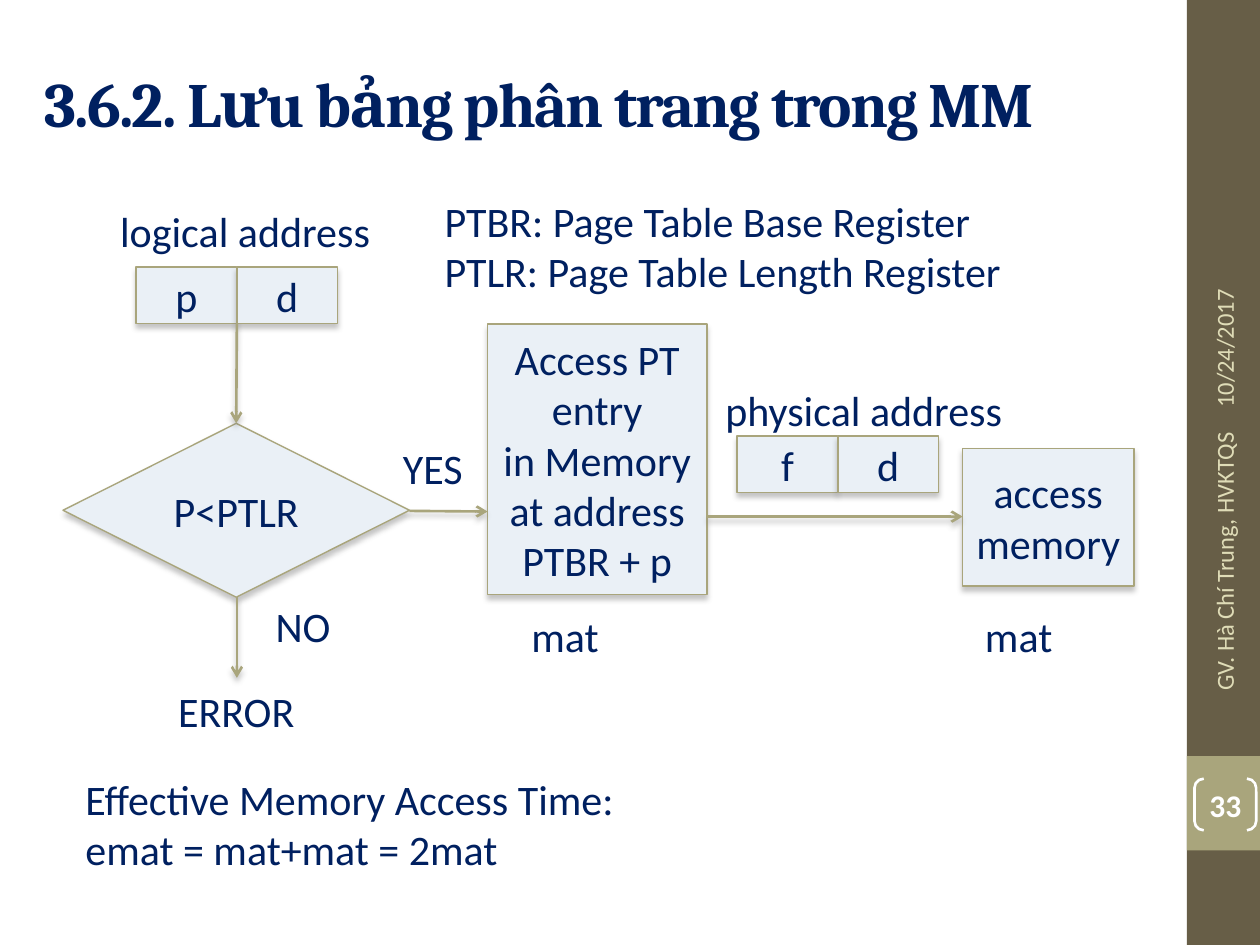
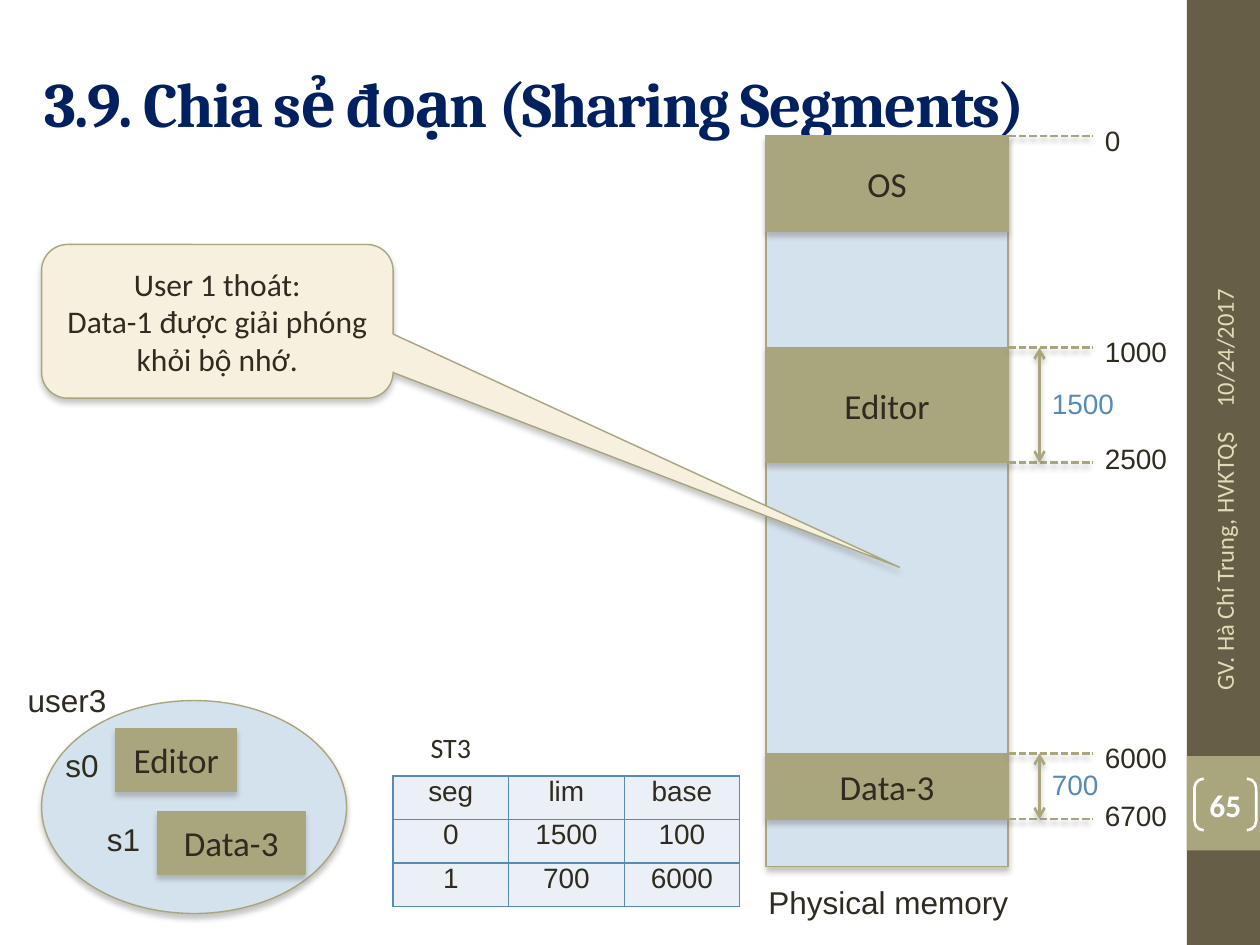
from dataclasses import dataclass
from typing import NamedTuple

from pptx import Presentation
from pptx.dml.color import RGBColor
from pptx.enum.dml import MSO_LINE
from pptx.enum.shapes import MSO_CONNECTOR, MSO_SHAPE
from pptx.enum.text import MSO_ANCHOR, PP_ALIGN
from pptx.oxml import parse_xml
from pptx.oxml.ns import nsdecls
from pptx.util import Emu, Inches, Pt

SLIDE_WIDTH, SLIDE_HEIGHT = Inches(10), Inches(7.5)
COLUMNS, ROWS = 100, 75  # square grid cells


class TextStyle(NamedTuple):
    font: str
    size: float
    color: str
    bold: bool = False


@dataclass(frozen=True)
class Theme:
    white: str = "FFFFFF"
    band: str = "675E47"
    accent: str = "A9A57C"
    pale: str = "EAF0F6"
    sky: str = "D4E2ED"
    cream: str = "F7F0DE"
    blue: str = "558BB8"
    outline: float = 0.79
    stroke: float = 1.5
    title: TextStyle = TextStyle("Cambria", 36, "002060", True)
    footer: TextStyle = TextStyle("Calibri", 14, "DFDCB7")
    number: TextStyle = TextStyle("Calibri", 18, "FFFFFF", True)
    flow: TextStyle = TextStyle("Calibri", 24, "002060")
    block: TextStyle = TextStyle("Calibri", 20, "2F2B20")
    callout: TextStyle = TextStyle("Calibri", 18, "2F2B20")
    label: TextStyle = TextStyle("Arial", 18, "2F2B20")
    address: TextStyle = TextStyle("Arial", 16, "2F2B20")
    limit: TextStyle = TextStyle("Arial", 16, "558BB8")
    caption: TextStyle = TextStyle("Calibri", 16, "2F2B20")


THEME = Theme()


class Area(NamedTuple):
    """A place on the grid, in columns and rows."""
    col: float
    row: float
    cols: float
    rows: float


class Block(NamedTuple):
    kind: MSO_SHAPE
    area: Area
    text: str


class Label(NamedTuple):
    area: Area
    text: str
    align: PP_ALIGN = PP_ALIGN.CENTER


class Segment(NamedTuple):
    name: str
    row: float
    rows: float
    start: str
    end: str = ""
    limit: str = ""


def x(col: float) -> Emu:
    return Emu(round(SLIDE_WIDTH * col / COLUMNS))


def y(row: float) -> Emu:
    return Emu(round(SLIDE_HEIGHT * row / ROWS))


def place(area: Area) -> tuple:
    return x(area.col), y(area.row), x(area.cols), y(area.rows)


def rgb(color: str) -> RGBColor:
    return RGBColor.from_string(color)


def write(frame, text: str, style: TextStyle, align=PP_ALIGN.CENTER) -> None:
    frame.text = text
    for paragraph in frame.paragraphs:
        paragraph.alignment = align
        font = paragraph.font
        font.name, font.size, font.bold = style.font, Pt(style.size), style.bold
        font.color.rgb = rgb(style.color)


def add_shadow(part) -> None:
    part._element.spPr.append(parse_xml(
        f'<a:effectLst {nsdecls("a")}><a:outerShdw blurRad="{Pt(3)}" dist="{Pt(2.4)}" '
        'dir="5400000" rotWithShape="0"><a:srgbClr val="808080"><a:alpha val="45000"/>'
        '</a:srgbClr></a:outerShdw></a:effectLst>'))


def add_label(slide, label: Label, style: TextStyle):
    box = slide.shapes.add_textbox(*place(label.area))
    box.text_frame.word_wrap = True
    write(box.text_frame, label.text, style, label.align)
    return box


def add_block(slide, block: Block, fill: str, style: TextStyle):
    shape = slide.shapes.add_shape(block.kind, *place(block.area))
    shape.fill.solid()
    shape.fill.fore_color.rgb = rgb(fill)
    shape.line.color.rgb = rgb(THEME.accent)
    shape.line.width = Pt(THEME.outline)
    add_shadow(shape)
    if block.text:
        shape.text_frame.vertical_anchor = MSO_ANCHOR.MIDDLE
        write(shape.text_frame, block.text, style)
    return shape


def add_line(slide, start: tuple, end: tuple, arrows=(), dashed: bool = False) -> None:
    connector = slide.shapes.add_connector(
        MSO_CONNECTOR.STRAIGHT, x(start[0]), y(start[1]), x(end[0]), y(end[1]))
    connector.line.color.rgb = rgb(THEME.accent)
    connector.line.width = Pt(THEME.stroke)
    if dashed:
        connector.line.dash_style = MSO_LINE.SQUARE_DOT
    for arrow in arrows:
        connector.line._get_or_add_ln().append(
            parse_xml(f'<a:{arrow} {nsdecls("a")} type="arrow"/>'))
    add_shadow(connector)


def start_slide(deck, heading: str, number: str):
    """Title, side band, rotated footers and page number."""
    slide = deck.slides.add_slide(deck.slide_layouts[5])
    title = slide.shapes.title
    title.left, title.top, title.width, title.height = place(Area(2.5, 3, 89.2, 10.3))
    title.text_frame.vertical_anchor = MSO_ANCHOR.MIDDLE
    write(title.text_frame, heading, THEME.title, PP_ALIGN.LEFT)
    title.text_frame.paragraphs[0].runs[0]._r.get_or_add_rPr().set("spc", "-100")

    for top, height, color in ((0, ROWS, THEME.band), (60, 7.5, THEME.accent)):
        band = slide.shapes.add_shape(MSO_SHAPE.RECTANGLE, *place(Area(94.2, top, 5.8, height)))
        band.shadow.inherit = False
        band.fill.solid()
        band.fill.fore_color.rgb = rgb(color)
        band.line.fill.background()

    for footer in (
        Label(Area(83.8, 18, 26.7, 4), "10/24/2017", PP_ALIGN.LEFT),
        Label(Area(84.2, 44.3, 25.9, 4), "GV. Hà Chí Trung, HVKTQS", PP_ALIGN.RIGHT),
    ):
        box = add_label(slide, footer, THEME.footer)
        box.text_frame.vertical_anchor = MSO_ANCHOR.MIDDLE
        box.rotation = 270

    bracket = slide.shapes.add_shape(MSO_SHAPE.DOUBLE_BRACKET, *place(Area(94.8, 61.8, 4.9, 4.1)))
    bracket.adjustments[0] = 0.18
    bracket.shadow.inherit = False
    bracket.fill.background()
    bracket.line.color.rgb = rgb(THEME.white)
    bracket.line.width = Pt(THEME.stroke)
    frame = bracket.text_frame
    frame.margin_left = frame.margin_right = frame.margin_top = frame.margin_bottom = 0
    frame.vertical_anchor = MSO_ANCHOR.MIDDLE
    write(frame, number, THEME.number)
    return slide


def build_paging_slide(deck) -> None:
    slide = start_slide(deck, "3.6.2. Lưu bảng phân trang trong MM", "33")

    # Steps of the address translation
    steps = [
        Block(MSO_SHAPE.FLOWCHART_DECISION, Area(5, 33.6, 27.5, 13.8), "P<PTLR"),
        Block(MSO_SHAPE.FLOWCHART_PROCESS, Area(38.7, 25.7, 17.4, 21.5),
              "Access PT entry\nin Memory at address\nPTBR + p"),
        Block(MSO_SHAPE.FLOWCHART_PROCESS, Area(76.4, 35.6, 13.6, 10.9), "access memory"),
    ]
    # Two-part addresses: page or frame number, then offset
    for left, top, parts in ((10.8, 21.2, "pd"), (58.5, 34.6, "fd")):
        steps += [Block(MSO_SHAPE.RECTANGLE, Area(left + 8 * i, top, 8, 4.5), part)
                  for i, part in enumerate(parts)]
    for step in steps:
        add_block(slide, step, THEME.pale, THEME.flow)

    # Flow between the steps
    for start, end in (
        ((18.8, 25.7), (18.75, 33.6)),
        ((32.5, 40.55), (38.7, 40.6)),
        ((18.8, 47.4), (18.8, 53.8)),
        ((56.1, 41), (76.4, 41)),
    ):
        add_line(slide, start, end, arrows=("tailEnd",))

    # Captions and notes
    for label in (
        Label(Area(6.9, 15.8, 25.1, 5), "logical address"),
        Label(Area(56, 30, 25.1, 5), "physical address"),
        Label(Area(38.7, 48, 12.3, 5), "mat"),
        Label(Area(74.7, 48, 12.3, 5), "mat"),
        Label(Area(17.9, 47.2, 12.3, 5), "NO"),
        Label(Area(28.2, 34.6, 12.3, 5), "YES"),
        Label(Area(12.6, 53.9, 12.3, 5), "ERROR"),
        Label(Area(34.3, 15, 51.2, 9.1),
              "PTBR: Page Table Base Register\nPTLR: Page Table Length Register", PP_ALIGN.LEFT),
        Label(Area(5.8, 60.9, 71.4, 9.1),
              "Effective Memory Access Time:\nemat = mat+mat = 2mat", PP_ALIGN.LEFT),
    ):
        add_label(slide, label, THEME.flow)


def add_segment_table(slide) -> None:
    entries = [("", "", ""), ("", "", ""), ("ST3", "", ""),
               ("seg", "lim", "base"), ("0", "1500", "100"), ("1", "700", "6000")]
    heights = (20, 20.1, 3.7, 3.45, 3.45, 3.45)
    caption_row = 2
    table = slide.shapes.add_table(
        len(entries), 3, *place(Area(31.2, 17.5, 27.5, sum(heights)))).table
    table.first_row = table.horz_banding = False
    for column, width in zip(table.columns, (9.15, 9.2, 9.15)):
        column.width = x(width)
    for i, (values, height) in enumerate(zip(entries, heights)):
        table.rows[i].height = y(height)
        is_data = i > caption_row
        sides = "LRTB" if is_data else "B" if i == caption_row else ""
        for j, value in enumerate(values):
            cell = table.cell(i, j)
            for side in sides:
                cell._tc.get_or_add_tcPr().append(parse_xml(
                    f'<a:ln{side} {nsdecls("a")} w="{Pt(1)}"><a:solidFill>'
                    f'<a:srgbClr val="{THEME.blue}"/></a:solidFill></a:ln{side}>'))
            cell.fill.solid()
            cell.fill.fore_color.rgb = rgb(THEME.pale if is_data else THEME.white)
            if is_data:
                cell.margin_left = cell.margin_right = x(0.7)
                cell.margin_top = cell.margin_bottom = 0
            if value:
                write(cell.text_frame, value, THEME.address if is_data else THEME.caption)


def add_memory_map(slide) -> None:
    left, width = 60.8, 19.2
    right, mark_end, span = left + width, 86.7, 82.5
    add_block(slide, Block(MSO_SHAPE.RECTANGLE, Area(left, 10.8, width, 58), ""),
              THEME.sky, THEME.block)
    for segment in (
        Segment("OS", 10.8, 7.6, "0"),
        Segment("Editor", 27.6, 9.1, "1000", "2500", "1500"),
        Segment("Data-3", 59.8, 5.2, "6000", "6700", "700"),
    ):
        top, bottom = segment.row, segment.row + segment.rows
        add_block(slide, Block(MSO_SHAPE.RECTANGLE, Area(left, top, width, segment.rows),
                               segment.name), THEME.accent, THEME.block)
        for row, lift, address in ((top, 1.5, segment.start), (bottom, 2.15, segment.end)):
            if address:
                add_line(slide, (right, row), (mark_end, row), dashed=True)
                add_label(slide, Label(Area(mark_end, row - lift, 9.2, 3.4), address,
                                       PP_ALIGN.LEFT), THEME.address)
        if segment.limit:
            add_line(slide, (span, top), (span, bottom), arrows=("headEnd", "tailEnd"))
            add_label(slide, Label(Area(span, (top + bottom) / 2 - 2, 9.2, 3.4),
                                   segment.limit, PP_ALIGN.LEFT), THEME.limit)
    add_label(slide, Label(Area(60, 69.6, 22.5, 3.7), "Physical memory", PP_ALIGN.LEFT),
              THEME.label)


def build_sharing_slide(deck) -> None:
    slide = start_slide(deck, "3.9. Chia sẻ đoạn (Sharing Segments)", "65")
    add_segment_table(slide)

    # Address space of user 3
    add_block(slide, Block(MSO_SHAPE.OVAL, Area(3.3, 55.6, 24.2, 16.9), ""),
              THEME.sky, THEME.block)
    for area, name in ((Area(9.2, 57.8, 9.6, 5), "Editor"), (Area(12.5, 64.4, 11.7, 5), "Data-3")):
        add_block(slide, Block(MSO_SHAPE.RECTANGLE, area, name), THEME.accent, THEME.block)
    for area, name in ((Area(1.2, 53.6, 17.5, 4), "user3"),
                       (Area(4.2, 58.7, 5.8, 4), "s0"), (Area(7.5, 64.6, 5.8, 4), "s1")):
        add_label(slide, Label(area, name, PP_ALIGN.LEFT), THEME.label)

    add_memory_map(slide)

    # Callout pointing at the freed memory
    callout = add_block(
        slide, Block(MSO_SHAPE.ROUNDED_RECTANGULAR_CALLOUT, Area(3.3, 19.4, 27.9, 12.2),
                     "User 1 thoát:\nData-1 được giải phóng khỏi bộ nhớ."),
        THEME.cream, THEME.callout)
    for i, value in enumerate((1.94, 1.6, 0.17)):
        callout.adjustments[i] = value


def main() -> None:
    deck = Presentation()
    deck.slide_width, deck.slide_height = SLIDE_WIDTH, SLIDE_HEIGHT
    build_paging_slide(deck)
    build_sharing_slide(deck)
    deck.save("out.pptx")


if __name__ == "__main__":
    main()
